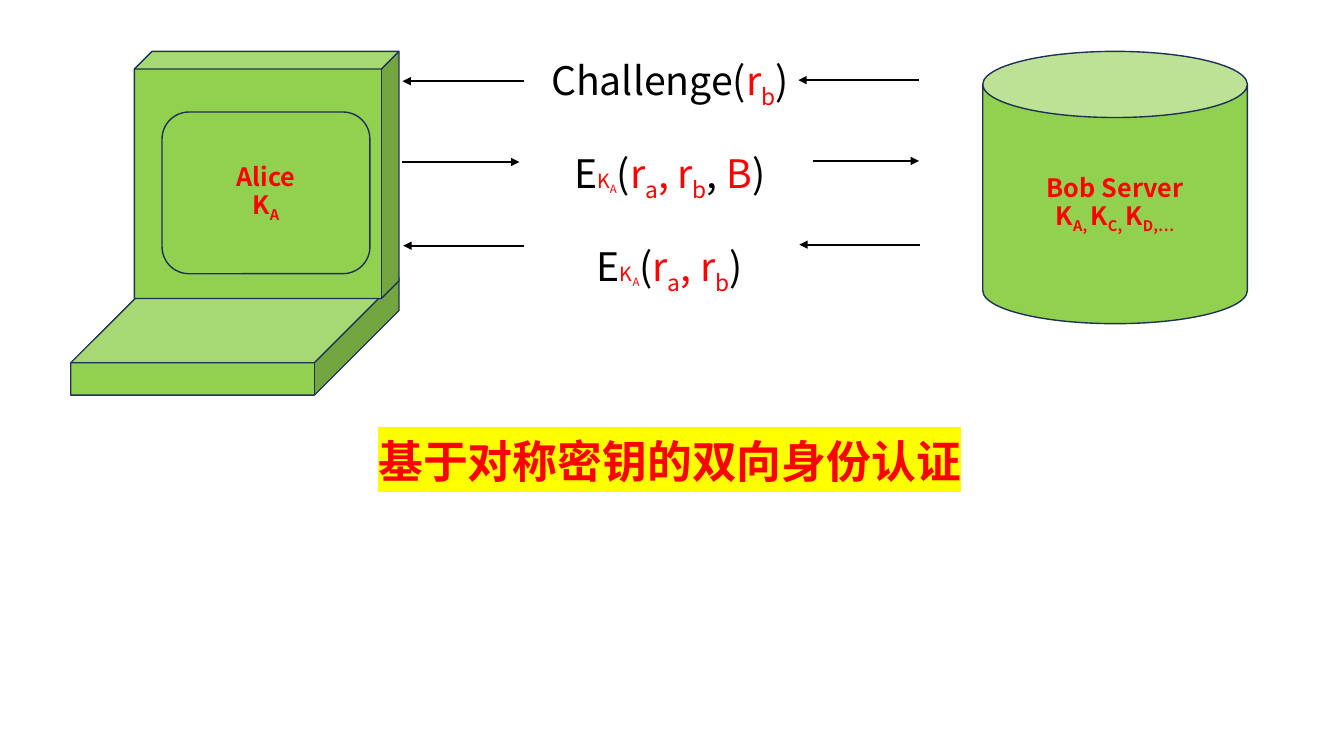
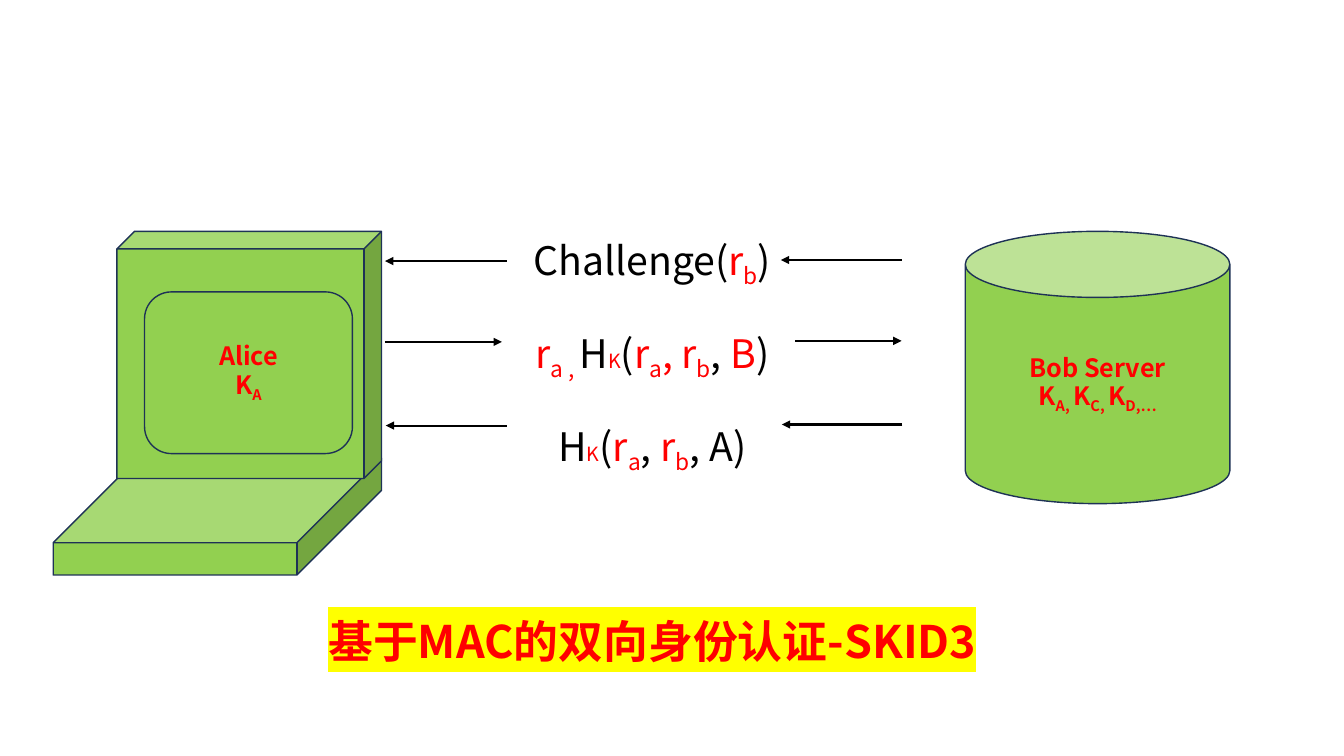
import typing

import lxml.etree
import pptx
import pptx.dml.color
import pptx.enum.shapes
import pptx.enum.text
import pptx.oxml.ns
import pptx.util

Pt = pptx.util.Pt
RGBColor = pptx.dml.color.RGBColor
MSO_SHAPE = pptx.enum.shapes.MSO_SHAPE
MSO_ANCHOR = pptx.enum.text.MSO_ANCHOR
qn = pptx.oxml.ns.qn

FONT = "Noto Sans CJK SC"
BLACK = RGBColor(0x00, 0x00, 0x00)
RED = RGBColor(0xFF, 0x00, 0x00)
GREEN = RGBColor(0x92, 0xD0, 0x50)
NAVY = RGBColor(0x1E, 0x32, 0x56)
YELLOW = RGBColor(0xFF, 0xFF, 0x00)

MESSAGE_SIZE = 28
KEY_SIZE = 14
LABEL_SIZE = 18
TITLE_SIZE = 32


class Part(typing.NamedTuple):
    """A piece of a line of text that has one format."""
    text: str
    color: RGBColor = RED
    size: int = MESSAGE_SIZE
    subscript: bool = False
    bold: bool = False


def plain(text):
    return Part(text, BLACK)


def indexed(letter, index, size=MESSAGE_SIZE, bold=False):
    return [Part(letter, RED, size, False, bold), Part(index, RED, size, True, bold)]


def label(text):
    return [Part(text, RED, LABEL_SIZE, bold=True)]


def label_key(index):
    return indexed("K", index, LABEL_SIZE, True)


R_A = indexed("r", "a")
R_B = indexed("r", "b")
KEY = Part("K", RED, KEY_SIZE)
KEY_A = indexed("K", "A", KEY_SIZE)
COMMA = Part(", ")

CHALLENGE = [plain("Challenge("), *R_B, plain(")")]
ALICE = [label("Alice"), label_key("A")]
BOB = [label("Bob Server"), label_key("A, ") + label_key("C, ") + label_key("D,…")]

SYMMETRIC_MESSAGES = [
    CHALLENGE,
    [plain("E"), *KEY_A, plain("("), *R_A, COMMA, *R_B, plain(", "), Part("B"), plain(")")],
    [plain("E"), *KEY_A, plain("("), *R_A, COMMA, *R_B, plain(")")],
]
MAC_MESSAGES = [
    CHALLENGE,
    [*indexed("r", "a , "), plain("H"), KEY, plain("("), *R_A, COMMA, *R_B,
     plain(", "), Part("B"), plain(")")],
    [plain("H"), KEY, plain("("), *R_A, plain(", "), *R_B, plain(", A)")],
]

ROWS = (58, 115.75, 175.5)
# Each arrow is (start, end) within its row.
ALICE_ARROWS = ((374.5, 287.5), (287.5, 371), (374.5, 288))
BOB_ARROWS = ((656.5, 570.25), (580.5, 656.5), (657, 571))
BOB_RISE = 0.75


def set_font(run, color, size, bold, highlight=None):
    run.font.size = Pt(size)
    run.font.bold = bold
    run.font.color.rgb = color
    properties = run.font._element
    if highlight is not None:
        mark = lxml.etree.SubElement(properties, qn("a:highlight"))
        lxml.etree.SubElement(mark, qn("a:srgbClr")).set("val", str(highlight))
    run.font.name = FONT
    lxml.etree.SubElement(properties, qn("a:ea")).set("typeface", FONT)


def write_lines(text_frame, lines, line_spacing, gap=0):
    text_frame.word_wrap = True
    for number, parts in enumerate(lines):
        paragraph = text_frame.add_paragraph() if number else text_frame.paragraphs[0]
        paragraph.alignment = pptx.enum.text.PP_ALIGN.CENTER
        paragraph.line_spacing = line_spacing
        if number and gap:
            paragraph.space_before = Pt(gap)
        for part in parts:
            run = paragraph.add_run()
            run.text = part.text
            set_font(run, part.color, part.size, part.bold)
            if part.subscript:
                run.font._element.set("baseline", "-25000")


def add_block(group, kind, left, top, width, height, adjustment=None, lines=()):
    shape = group.shapes.add_shape(kind, Pt(left), Pt(top), Pt(width), Pt(height))
    shape.shadow.inherit = False
    shape.fill.solid()
    shape.fill.fore_color.rgb = GREEN
    shape.line.color.rgb = NAVY
    shape.line.width = Pt(1)
    if adjustment is not None:
        shape.adjustments[0] = adjustment
    shape.text_frame.vertical_anchor = MSO_ANCHOR.MIDDLE
    write_lines(shape.text_frame, lines, 0.84)


def add_arrow(group, start, end, y):
    arrow = group.shapes.add_connector(
        pptx.enum.shapes.MSO_CONNECTOR.STRAIGHT, Pt(start), Pt(y), Pt(end), Pt(y))
    arrow.line.color.rgb = BLACK
    arrow.line.width = Pt(1.5)
    line = arrow.line._get_or_add_ln()
    lxml.etree.SubElement(line, qn("a:tailEnd")).set("type", "triangle")
    lxml.etree.SubElement(arrow._element.spPr, qn("a:effectLst"))


def add_messages(group, messages):
    box = group.shapes.add_textbox(Pt(327.75), Pt(37), Pt(301.5), Pt(177))
    write_lines(box.text_frame, messages, 0.9, gap=32)


def add_title(slide, text, shift_x, shift_y):
    title = slide.shapes.title
    title.left, title.top = Pt(170 + shift_x), Pt(283.5 + shift_y)
    title.width, title.height = Pt(617), Pt(69)
    text_frame = title.text_frame
    text_frame.text = text
    text_frame.word_wrap = True
    text_frame.auto_size = pptx.enum.text.MSO_AUTO_SIZE.NONE
    text_frame.vertical_anchor = MSO_ANCHOR.BOTTOM
    paragraph = text_frame.paragraphs[0]
    paragraph.alignment = pptx.enum.text.PP_ALIGN.CENTER
    paragraph.line_spacing = 0.9
    set_font(paragraph.runs[0], RED, TITLE_SIZE, True, YELLOW)


def add_protocol_slide(presentation, title, messages, shift_x=0, shift_y=0):
    """Add a message exchange between Alice and Bob, moved by the shift."""
    slide = presentation.slides.add_slide(presentation.slide_layouts[5])
    group = slide.shapes.add_group_shape()
    add_block(group, MSO_SHAPE.CAN, 702, 36.75, 189, 194.5, lines=BOB)
    add_block(group, MSO_SHAPE.CUBE, 50.5, 198.75, 234.5, 83.5, 0.724)
    add_block(group, MSO_SHAPE.CUBE, 96, 36.75, 189, 176.5, 0.071)
    add_block(group, MSO_SHAPE.ROUNDED_RECTANGLE, 115.75, 80, 148.5, 115.5, lines=ALICE)
    for y, alice_arrow, bob_arrow in zip(ROWS, ALICE_ARROWS, BOB_ARROWS):
        add_arrow(group, *alice_arrow, y)
        add_arrow(group, *bob_arrow, y - BOB_RISE)
    add_messages(group, messages)
    group.left += Pt(shift_x)
    group.top += Pt(shift_y)
    add_title(slide, title, shift_x, shift_y)


def main():
    presentation = pptx.Presentation()
    presentation.slide_width, presentation.slide_height = Pt(960), Pt(540)
    add_protocol_slide(presentation, "基于对称密钥的双向身份认证", SYMMETRIC_MESSAGES)
    add_protocol_slide(presentation, "基于MAC的双向身份认证-SKID3", MAC_MESSAGES,
                       shift_x=-12.5, shift_y=128.5)
    presentation.save("out.pptx")


if __name__ == "__main__":
    main()
